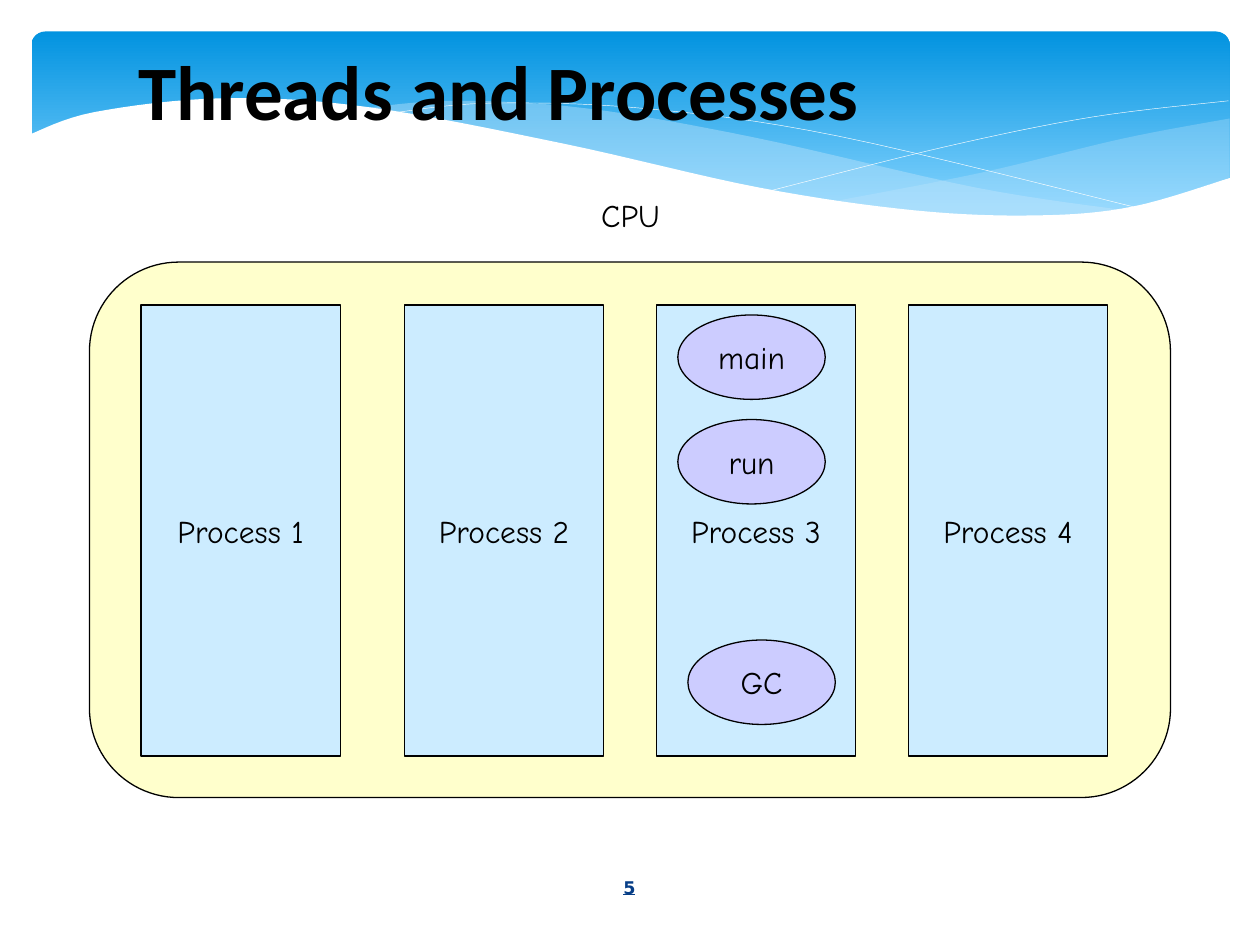
import dataclasses
import typing

import pptx
import pptx.dml.color
import pptx.enum.shapes
import pptx.enum.text
import pptx.oxml
import pptx.oxml.ns
import pptx.util

Inches = pptx.util.Inches
Pt = pptx.util.Pt
Kind = pptx.enum.shapes.MSO_SHAPE
Align = pptx.enum.text.PP_ALIGN
Anchor = pptx.enum.text.MSO_ANCHOR
Fit = pptx.enum.text.MSO_AUTO_SIZE
Knots = list[tuple[float, float]]

COLORS = {
    "black": "000000", "white": "FFFFFF", "sky": "0293E0", "pale": "83D3FE",
    "mist": "C6E7FC", "cream": "FFFFCC", "blue": "CCECFF", "lilac": "CCCCFF",
    "navy": "073E87",
}


@dataclasses.dataclass
class Box:
    kind: Kind
    left: float
    top: float
    width: float
    height: float
    fill: str
    text: str = ""


@dataclasses.dataclass
class Wave:
    curves: list[Knots]  # smooth curves, joined end to end
    fill: str = ""
    alpha: int = 100
    line: str = ""


def color(name: str) -> pptx.dml.color.RGBColor:
    return pptx.dml.color.RGBColor.from_string(COLORS[name])


def smooth(knots: Knots, steps: int = 8) -> Knots:
    """Trace a Catmull-Rom spline through the knots."""
    ends = [knots[0], *knots, knots[-1]]
    trace = [knots[0]]
    for a, b, c, d in zip(ends, ends[1:], ends[2:], ends[3:]):
        for step in range(1, steps + 1):
            t = step / steps
            trace.append(tuple(
                q + t / 2 * (r - p + t * (2 * p - 5 * q + 4 * r - s
                                          + t * (3 * (q - r) + s - p)))
                for p, q, r, s in zip(a, b, c, d)))
    return trace


def write(shape: typing.Any, text: str, font: str = "Comic Neue", size: int = 18,
          tint: str = "black", bold: bool = False, under: bool = False,
          wrap: bool = False) -> None:
    frame = shape.text_frame
    frame.auto_size = Fit.NONE
    frame.word_wrap = wrap
    frame.vertical_anchor = Anchor.MIDDLE
    para = frame.paragraphs[0]
    para.alignment = Align.CENTER
    run = para.add_run()
    run.text = text
    run.font.name, run.font.size = font, Pt(size)
    run.font.bold, run.font.underline = bold, under
    run.font.color.rgb = color(tint)


def draw_box(slide: typing.Any, box: Box) -> typing.Any:
    shape = slide.shapes.add_shape(
        box.kind, Inches(box.left), Inches(box.top),
        Inches(box.width), Inches(box.height))
    shape.shadow.inherit = False
    shape.fill.solid()
    shape.fill.fore_color.rgb = color(box.fill)
    shape.line.color.rgb = color("black")
    shape.line.width = Pt(0.75)
    if box.text:
        write(shape, box.text)
    return shape


def draw_wave(slide: typing.Any, wave: Wave) -> None:
    trace = [(Inches(x), Inches(y)) for knots in wave.curves for x, y in smooth(knots)]
    pen = slide.shapes.build_freeform(*trace[0])
    pen.add_line_segments(trace[1:], close=bool(wave.fill))
    shape = pen.convert_to_shape()
    shape.shadow.inherit = False
    if wave.fill:
        shape.fill.solid()
        shape.fill.fore_color.rgb = color(wave.fill)
        if wave.alpha < 100:
            tone = shape.fill._xPr.find(".//" + pptx.oxml.ns.qn("a:srgbClr"))
            tone.append(pptx.oxml.parse_xml(
                f'<a:alpha {pptx.oxml.ns.nsdecls("a")} val="{wave.alpha * 1000}"/>'))
    else:
        shape.fill.background()
    if wave.line:
        shape.line.color.rgb = color(wave.line)
        shape.line.width = Pt(0.25)
    else:
        shape.line.fill.background()


deck = pptx.Presentation()
deck.slide_width, deck.slide_height = Inches(10), Inches(7.5)
slide = deck.slides.add_slide(deck.slide_layouts[5])

# Header band
band = draw_box(slide, Box(Kind.ROUNDED_RECTANGLE, 0.25, 0.25, 9.51, 1.56, "sky"))
band.adjustments[0] = 0.07
band.line.fill.background()
band.fill.gradient()
band.fill.gradient_angle = 270
for stop, (spot, tint) in zip(band.fill.gradient_stops, [(0, "sky"), (0.9, "pale")]):
    stop.position = spot
    stop.color.rgb = color(tint)

# Waves
WAVES = [
    Wave([[(9.76, 0.94), (8.91, 1.1), (7.79, 1.37), (6.61, 1.6)],
          [(6.61, 1.6), (7.45, 1.69), (8.24, 1.72), (9.05, 1.63), (9.76, 1.41)]],
         "mist", 29),
    Wave([[(8.93, 1.67), (7.75, 1.49), (5.98, 1.09), (4.65, 0.86), (3.61, 0.8),
           (2.86, 0.86)],
          [(2.86, 0.86), (4.04, 1.06), (5.66, 1.43), (6.95, 1.65), (8.07, 1.73),
           (8.93, 1.67)]], "mist", 40),
    Wave([[(3.09, 0.9), (3.87, 0.82), (5.1, 0.86), (6.65, 1.08), (9.07, 1.66)]],
         line="white"),
    Wave([[(6.13, 1.51), (7.48, 1.17), (8.66, 0.93), (9.75, 0.8)]], line="white"),
    Wave([[(0.23, 1.07), (0.75, 0.89), (1.77, 0.78), (2.92, 0.85), (4.47, 1.14),
           (6.03, 1.49), (7.26, 1.67), (8.23, 1.71), (8.99, 1.64), (9.77, 1.41)],
          [(9.77, 2.24)], [(0.23, 2.24)]], "white"),
]
for wave in WAVES:
    draw_wave(slide, wave)

# Title, brought above the waves
title = slide.shapes.title
title.left, title.top = Inches(0), Inches(0.25)
title.width, title.height = Inches(7.92), Inches(0.92)
write(title, "Threads and Processes", "Calibri", 44, bold=True, wrap=True)
slide.shapes._spTree.append(title._element)

# Page number and label
page = slide.shapes.add_textbox(Inches(4.36), Inches(6.84), Inches(1.27), Inches(0.4))
write(page, "5", "DejaVu Sans", 10, "navy", bold=True, under=True, wrap=True)
label = slide.shapes.add_textbox(Inches(4.67), Inches(1.51), Inches(0.67), Inches(0.4))
write(label, "CPU")

# Processor, its processes and the threads of one process
draw_box(slide, Box(Kind.ROUNDED_RECTANGLE, 0.71, 2.08, 8.58, 4.25, "cream"))
for count, left in enumerate([1.12, 3.21, 5.21, 7.21], 1):
    draw_box(slide, Box(Kind.RECTANGLE, left, 2.42, 1.58, 3.58, "blue",
                        f"Process {count}"))
for left, top, name in [(5.38, 2.5, "main"), (5.38, 3.33, "run"), (5.46, 5.08, "GC")]:
    draw_box(slide, Box(Kind.OVAL, left, top, 1.17, 0.67, "lilac", name))

deck.save("out.pptx")
